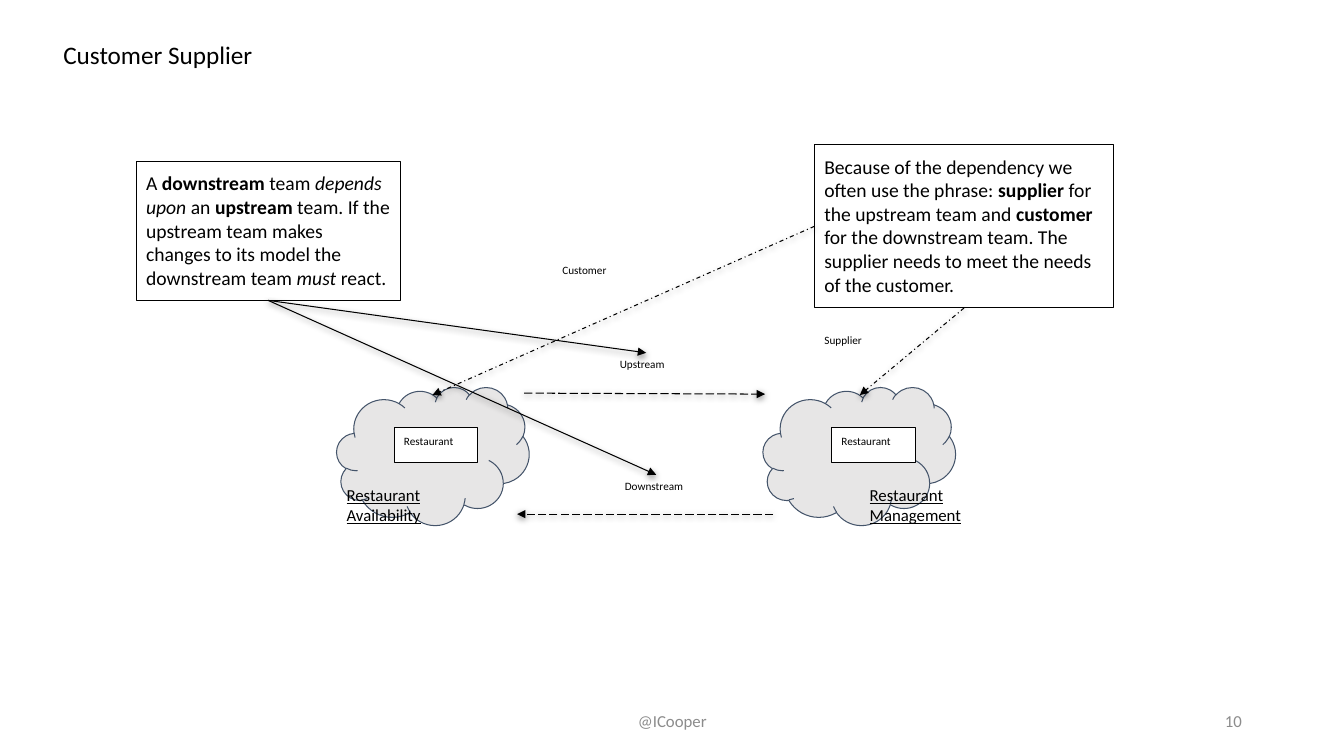
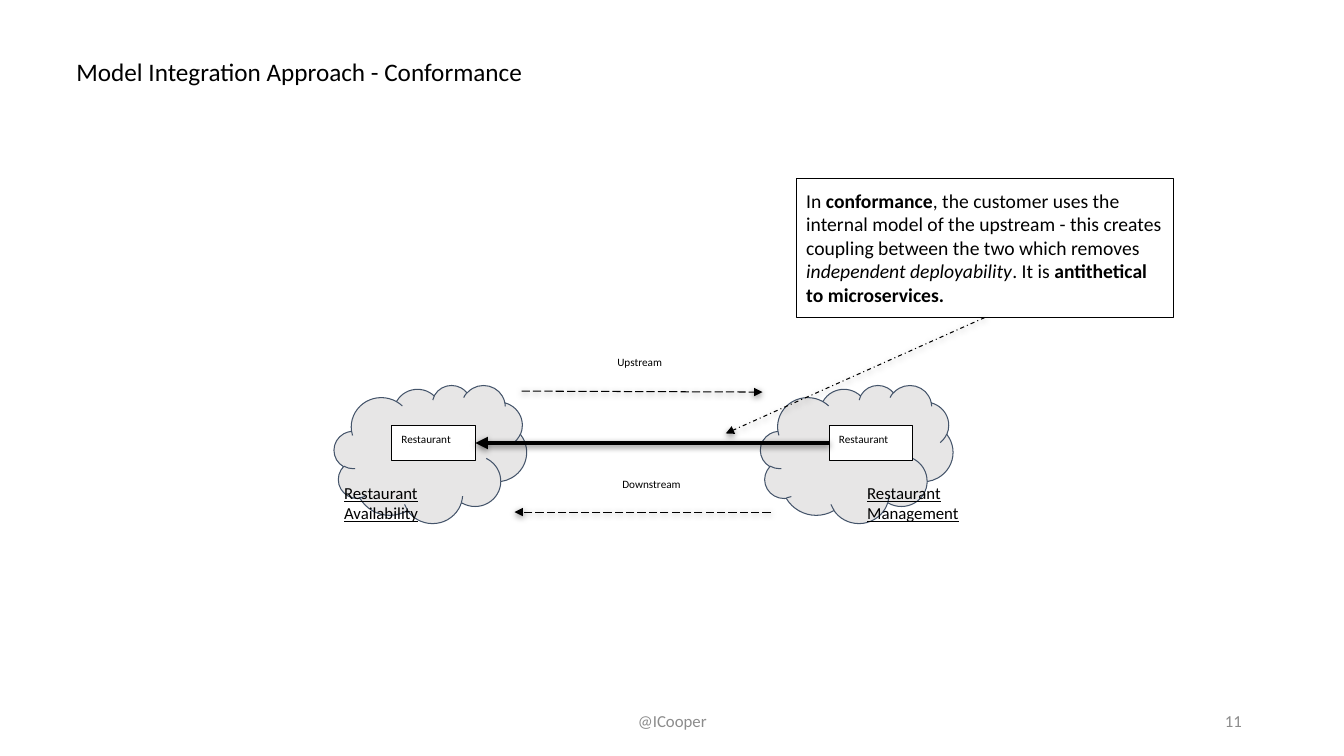
from dataclasses import dataclass
from typing import NamedTuple

from pptx import Presentation
from pptx import util as u
from pptx.dml.color import RGBColor
from pptx.enum import dml, shapes, text
from pptx.oxml import parse_xml
from pptx.oxml.ns import nsdecls, qn

# The slide is a grid of square cells, a tenth of an inch each.
CELL = u.Inches(0.1)
SLIDE_W, SLIDE_H = u.Emu(12192000), 75 * CELL

FONT = "Calibri"
BLACK = RGBColor(0x00, 0x00, 0x00)
WHITE = RGBColor(0xFF, 0xFF, 0xFF)
CLOUD_FILL = RGBColor(0xE7, 0xE6, 0xE6)
CLOUD_LINE = RGBColor(0x44, 0x54, 0x6A)
FOOTER_GREY = RGBColor(0x8C, 0x8C, 0x8C)
THIN, THICK = 0.75, 3
DASHED, DOTTED = dml.MSO_LINE.LONG_DASH, dml.MSO_LINE.DASH_DOT
TOP, LEFT, BOTTOM, RIGHT = range(4)

SHADOW = (
    f'<a:effectLst {nsdecls("a")}>'
    '<a:outerShdw blurRad="57150" dist="19050" dir="5400000" algn="ctr" rotWithShape="0">'
    '<a:srgbClr val="000000"><a:alpha val="50000"/></a:srgbClr>'
    "</a:outerShdw></a:effectLst>"
)


class Point(NamedTuple):
    x: float
    y: float


class Box(NamedTuple):
    x: float
    y: float
    w: float
    h: float

    def shifted(self, by: Point) -> "Box":
        return Box(self.x + by.x, self.y + by.y, self.w, self.h)

    def emu(self) -> list[int]:
        return [round(v * CELL) for v in self]


class Run(NamedTuple):
    text: str
    bold: bool = False
    italic: bool = False


class Label(NamedTuple):
    text: str
    box: Box


class Pointer(NamedTuple):
    side: int
    tip: Point
    dash: dml.MSO_LINE | None = DOTTED


@dataclass(frozen=True)
class Note:
    box: Box
    runs: list[Run]
    pointers: list[Pointer]


@dataclass(frozen=True)
class Context:
    """A cloud with its name and the model inside it."""
    name: str
    cloud_x: float
    name_x: float
    name_w: float
    model_x: float


@dataclass(frozen=True)
class Page:
    number: int
    title: str
    title_at: Point
    shift: Point
    notes: list[Note]
    labels: list[Label]
    conforms: bool = False


CONTEXTS = [
    Context("Restaurant Availability", 33.4, 33.4, 11.3, 39.1),
    Context("Restaurant Management", 75.7, 85.3, 13, 82.5),
]
FLOW_LABELS = [
    Label("Upstream", Box(60.5, 35, 7.2, 3.4)),
    Label("Downstream", Box(61, 47.1, 8.3, 3.4)),
]
FLOWS = [(Point(52, 39), Point(75.9, 39.1)), (Point(76.7, 51), Point(51.3, 51))]

PAGES = [
    Page(
        10, "Customer Supplier", Point(5.3, 2.9), Point(0, 0),
        [
            Note(
                Box(13.5, 16, 26.2, 13.8),
                [
                    Run("A "), Run("downstream", bold=True), Run(" team "),
                    Run("depends upon", italic=True), Run(" an "),
                    Run("upstream", bold=True),
                    Run(" team. If the upstream team makes changes to its model "
                        "the downstream team "),
                    Run("must", italic=True), Run(" react."),
                ],
                [Pointer(BOTTOM, Point(64.1, 35), None),
                 Pointer(BOTTOM, Point(65.1, 47.1), None)],
            ),
            Note(
                Box(80.8, 14.35, 29.7, 16.2),
                [
                    Run("Because of the dependency we often use the phrase: "),
                    Run("supplier", bold=True), Run(" for the upstream team and "),
                    Run("customer", bold=True),
                    Run(" for the downstream team. The supplier needs to meet "
                        "the needs of the customer."),
                ],
                [Pointer(LEFT, Point(42.9, 39.2)), Pointer(BOTTOM, Point(85.3, 39.2))],
            ),
        ],
        [Label("Customer", Box(54.8, 25.7, 7.2, 3.4)),
         Label("Supplier", Box(80.8, 32.6, 7.2, 3.4))],
    ),
    Page(
        11, "Model Integration Approach - Conformance", Point(6.6, 4.6), Point(-0.25, -0.2),
        [
            Note(
                Box(79, 17.7, 37.4, 13.8),
                [
                    Run("In "), Run("conformance", bold=True),
                    Run(", the customer uses the internal model of the upstream - this "
                        "creates coupling between the two which removes "),
                    Run("independent deployability", italic=True), Run(". It is "),
                    Run("antithetical to microservices.", bold=True),
                ],
                [Pointer(BOTTOM, Point(72, 43))],
            ),
        ],
        [],
        conforms=True,
    ),
]


def write(sp, runs: list[Run], size: float, color=BLACK, underline=None,
          align=text.PP_ALIGN.LEFT, anchor=text.MSO_ANCHOR.TOP, top: float = 1) -> None:
    tf = sp.text_frame
    tf.word_wrap = True
    tf.vertical_anchor = anchor
    tf.margin_left = tf.margin_right = tf.margin_bottom = CELL
    tf.margin_top = round(top * CELL)
    p = tf.paragraphs[0]
    p.alignment = align
    for run in runs:
        r = p.add_run()
        r.text = run.text
        r.font.bold = run.bold or None
        r.font.italic = run.italic or None
    p.font.name, p.font.size, p.font.underline = FONT, u.Pt(size), underline
    p.font.color.rgb = color


def add_text(s, box: Box, words: str, size: float, **style) -> None:
    write(s.shapes.add_textbox(*box.emu()), [Run(words)], size, **style)


def add_label(s, label: Label) -> None:
    add_text(s, label.box, label.text, 8, top=0.6)


def add_outline(s, kind, box: Box, fill=None, line=BLACK):
    sp = s.shapes.add_shape(kind, *box.emu())
    sp.shadow.inherit = False
    if fill is None:
        sp.fill.background()
    else:
        sp.fill.solid()
        sp.fill.fore_color.rgb = fill
    sp.line.color.rgb = line
    sp.line.width = u.Pt(THIN)
    return sp


def add_arrow(s, start: Point, end: Point, dash=None, width: float = THIN):
    ends = [round(v * CELL) for v in (*start, *end)]
    c = s.shapes.add_connector(shapes.MSO_CONNECTOR.STRAIGHT, *ends)
    c.line.color.rgb = BLACK
    c.line.width = u.Pt(width)
    if dash is not None:
        c.line.dash_style = dash
    props = c.element.spPr
    props.find(qn("a:ln")).append(parse_xml(f'<a:tailEnd {nsdecls("a")} type="triangle"/>'))
    props.append(parse_xml(SHADOW))
    return c


def add_context(s, context: Context, shift: Point):
    """Draw the cloud and its name, and return the model box."""
    cloud = Box(context.cloud_x, 38.4, 19.1, 13.7).shifted(shift)
    add_outline(s, shapes.MSO_SHAPE.CLOUD, cloud, CLOUD_FILL, CLOUD_LINE)
    name = Box(context.name_x, 47.1, context.name_w, 6.1).shifted(shift)
    add_text(s, name, context.name, 12, underline=True)
    box = Box(context.model_x, 42.45, 8.3, 3.4).shifted(shift)
    model = add_outline(s, shapes.MSO_SHAPE.RECTANGLE, box, WHITE)
    write(model, [Run("Restaurant")], 8, top=0.6)
    return model


def add_note(s, note: Note) -> None:
    sp = add_outline(s, shapes.MSO_SHAPE.RECTANGLE, note.box)
    write(sp, note.runs, 14)
    for pointer in note.pointers:
        c = add_arrow(s, Point(note.box.x, note.box.y), pointer.tip, pointer.dash)
        c.begin_connect(sp, pointer.side)


def add_footer(s, number: int) -> None:
    style = dict(color=FOOTER_GREY, anchor=text.MSO_ANCHOR.MIDDLE)
    add_text(s, Box(44.2, 69.5, 45, 4), "@ICooper", 12, align=text.PP_ALIGN.CENTER, **style)
    add_text(s, Box(94.2, 69.5, 30, 4), str(number), 12, align=text.PP_ALIGN.RIGHT, **style)


def add_page(prs, page: Page) -> None:
    s = prs.slides.add_slide(prs.slide_layouts[6])
    add_text(s, Box(*page.title_at, 86.5, 4.4), page.title, 18)
    customer, supplier = [add_context(s, context, page.shift) for context in CONTEXTS]
    for start, end in FLOWS:
        dx, dy = page.shift
        add_arrow(s, Point(start.x + dx, start.y + dy), Point(end.x + dx, end.y + dy), DASHED)
    for label in FLOW_LABELS:
        add_label(s, Label(label.text, label.box.shifted(page.shift)))
    if page.conforms:
        c = add_arrow(s, Point(82, 44), Point(47, 44), width=THICK)
        c.begin_connect(supplier, LEFT)
        c.end_connect(customer, RIGHT)
    for note in page.notes:
        add_note(s, note)
    for label in page.labels:
        add_label(s, label)
    add_footer(s, page.number)


def main() -> None:
    prs = Presentation()
    prs.slide_width, prs.slide_height = SLIDE_W, SLIDE_H
    for page in PAGES:
        add_page(prs, page)
    prs.save("out.pptx")


if __name__ == "__main__":
    main()
